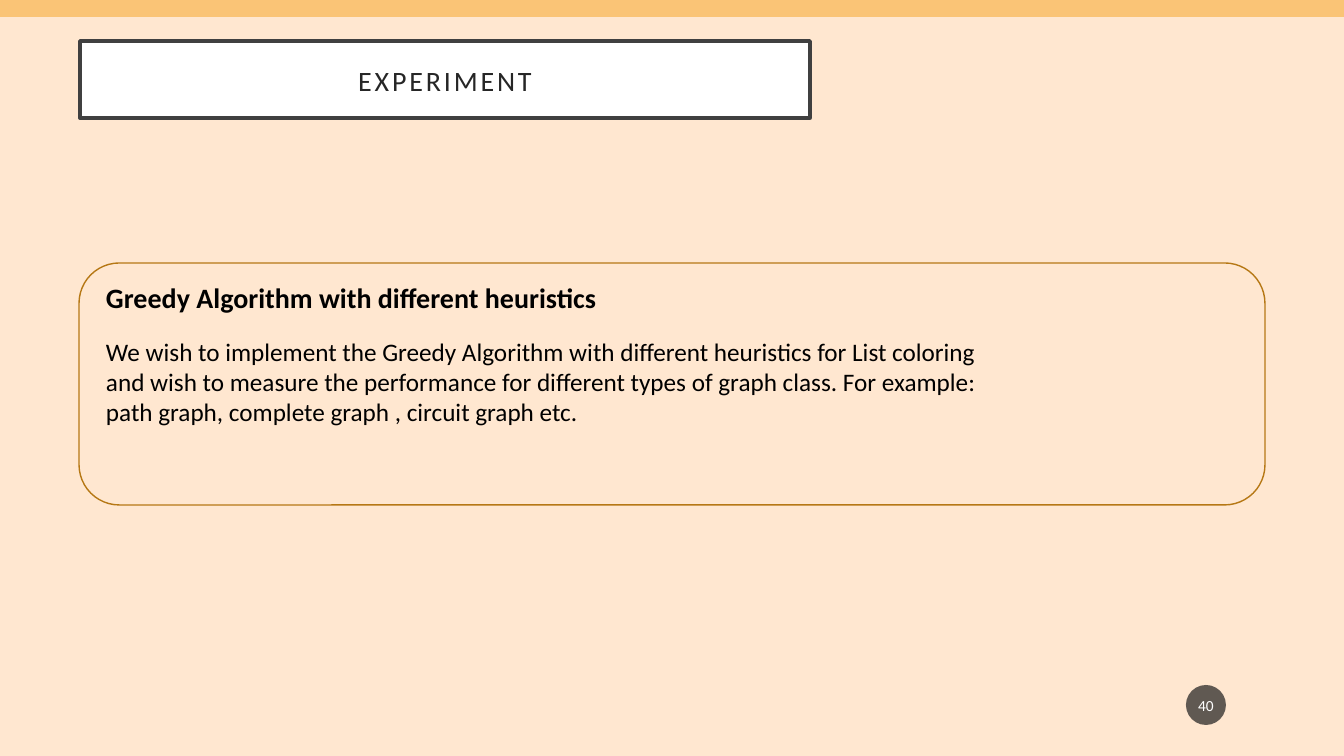
from lxml.etree import SubElement
from pptx import Presentation
from pptx.dml.color import RGBColor
from pptx.enum.shapes import MSO_SHAPE as Shape
from pptx.enum.text import MSO_ANCHOR as Anchor, PP_ALIGN as Align
from pptx.oxml.ns import qn
from pptx.util import Pt

WIDTH, HEIGHT = 1344, 756
SCALE = 12192000 / WIDTH
FONT = "Calibri"


def px(length):
    return round(length * SCALE)


def paint(color_format, color):
    color_format.rgb = RGBColor.from_string(color)


def fill_solid(fill, color, opacity=100):
    fill.solid()
    paint(fill.fore_color, color)
    if opacity < 100:
        color_element = fill._xPr.find(qn("a:solidFill"))[0]
        SubElement(color_element, qn("a:alpha"), val=str(opacity * 1000))


def outline(shape, color, width):
    paint(shape.line.color, color)
    shape.line.width = Pt(width)


def place(shape, box):
    shape.left, shape.top, shape.width, shape.height = map(px, box)


def add_plain_shape(slide, kind, box):
    shape = slide.shapes.add_shape(kind, *map(px, box))
    shape.shadow.inherit = False
    shape.fill.background()
    shape.line.fill.background()
    return shape


def write(shape, text, size, color, align, anchor, insets, bold=False):
    frame = shape.text_frame
    frame.word_wrap = True
    frame.vertical_anchor = anchor
    frame.margin_left = frame.margin_right = px(insets[0])
    frame.margin_top = frame.margin_bottom = px(insets[1])
    paragraph = frame.paragraphs[0]
    paragraph.alignment = align
    run = paragraph.add_run()
    run.text = text
    run.font.name = FONT
    run.font.size = Pt(size)
    run.font.bold = bold
    paint(run.font.color, color)
    return paragraph, run


def add_top_bar(slide, box):
    bar = add_plain_shape(slide, Shape.RECTANGLE, box)
    fill_solid(bar.fill, "F6A21D", 50)


def format_title(slide, box, text):
    title = slide.shapes.title
    place(title, box)
    fill_solid(title.fill, "FFFFFF")
    outline(title, "404040", 2.5)
    paragraph, run = write(title, text, 20, "262626", Align.CENTER, Anchor.BOTTOM, (20, 20))
    paragraph.line_spacing = 0.9
    run.font._element.set("spc", "200")


def add_page_number(slide, box, number):
    badge = add_plain_shape(slide, Shape.OVAL, box)
    fill_solid(badge.fill, "1D1D1D", 70)
    write(badge, number, 11, "FFFFFF", Align.CENTER, Anchor.MIDDLE, (2, 5))


def add_experiment_card(slide, box, heading, description):
    left, top, width, height = box
    card = add_plain_shape(slide, Shape.ROUNDED_RECTANGLE, box)
    outline(card, "B67815", 1)
    texts = (
        (heading, 20, True, (left + 17, top + 12, width - 37, 44)),
        (description, 18, False, (left + 17, top + 68, 917, 132)),
    )
    for text, size, bold, text_box in texts:
        shape = slide.shapes.add_textbox(*map(px, text_box))
        write(shape, text, size, "000000", Align.LEFT, Anchor.TOP, (10, 5), bold)


def main():
    presentation = Presentation()
    presentation.slide_width, presentation.slide_height = px(WIDTH), px(HEIGHT)
    slide = presentation.slides.add_slide(presentation.slide_layouts[5])
    fill_solid(slide.background.fill, "FFE7D0")
    add_top_bar(slide, (0, 0, WIDTH, 17))
    format_title(slide, (80, 41, 730, 77), "EXPERIMENT")
    add_page_number(slide, (1186, 685, 40, 40), "40")
    add_experiment_card(
        slide,
        (79, 263, 1186, 242),
        "Greedy Algorithm with different heuristics",
        "We wish to implement the Greedy Algorithm with different heuristics for List coloring "
        "and wish to measure the performance for different types of graph class. For example: "
        "path graph, complete graph , circuit graph etc.",
    )
    presentation.save("out.pptx")


if __name__ == "__main__":
    main()
